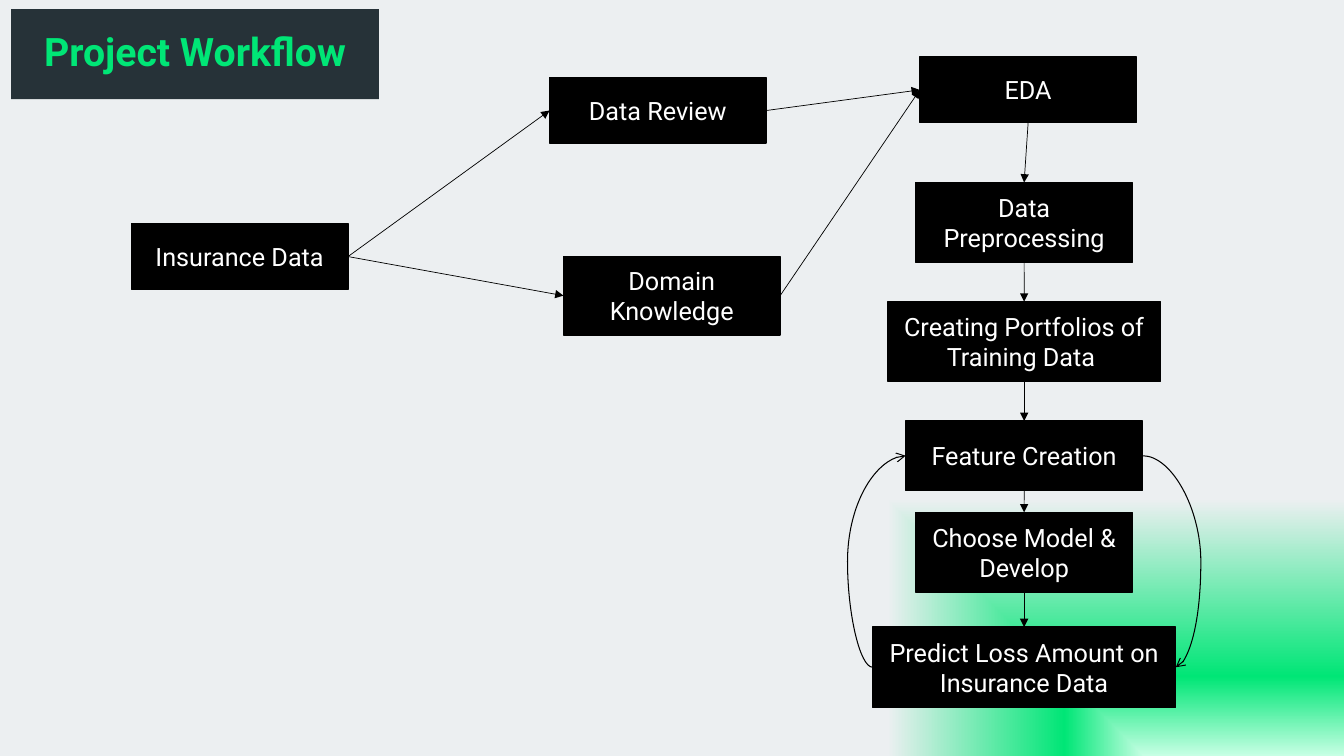
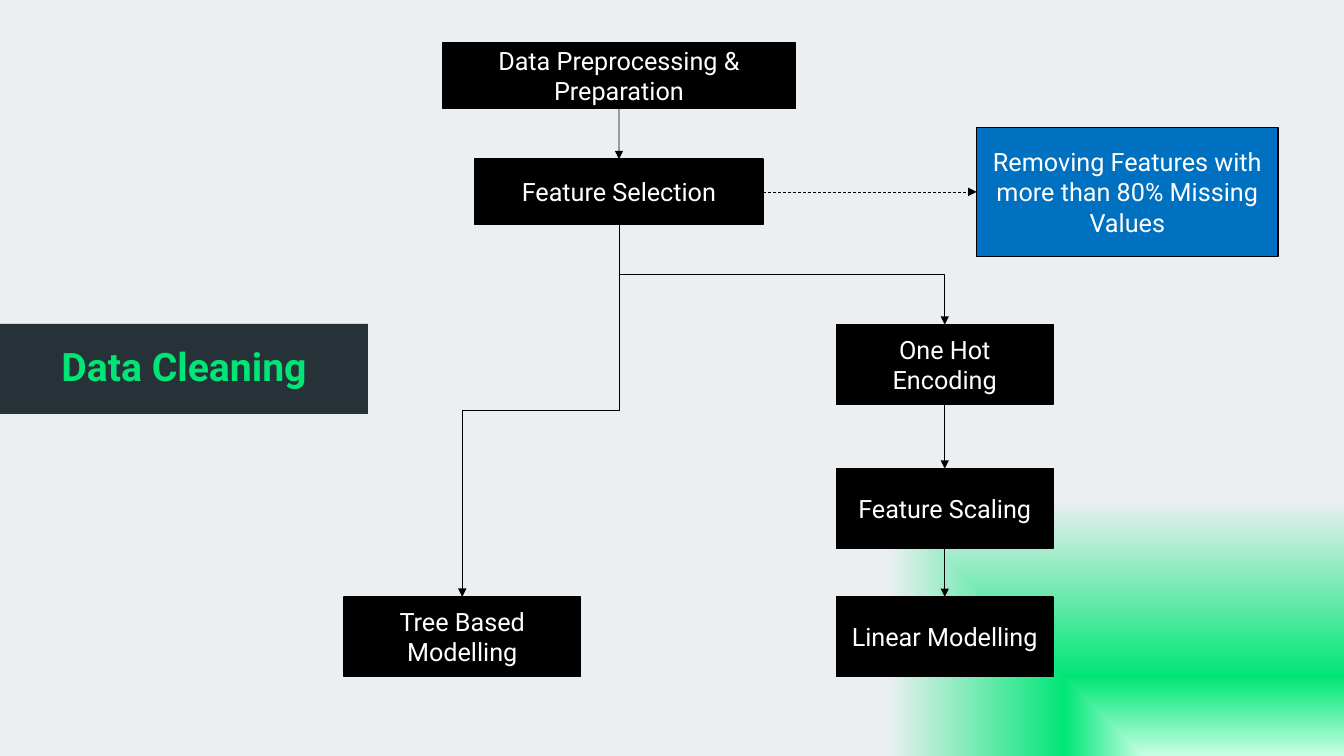
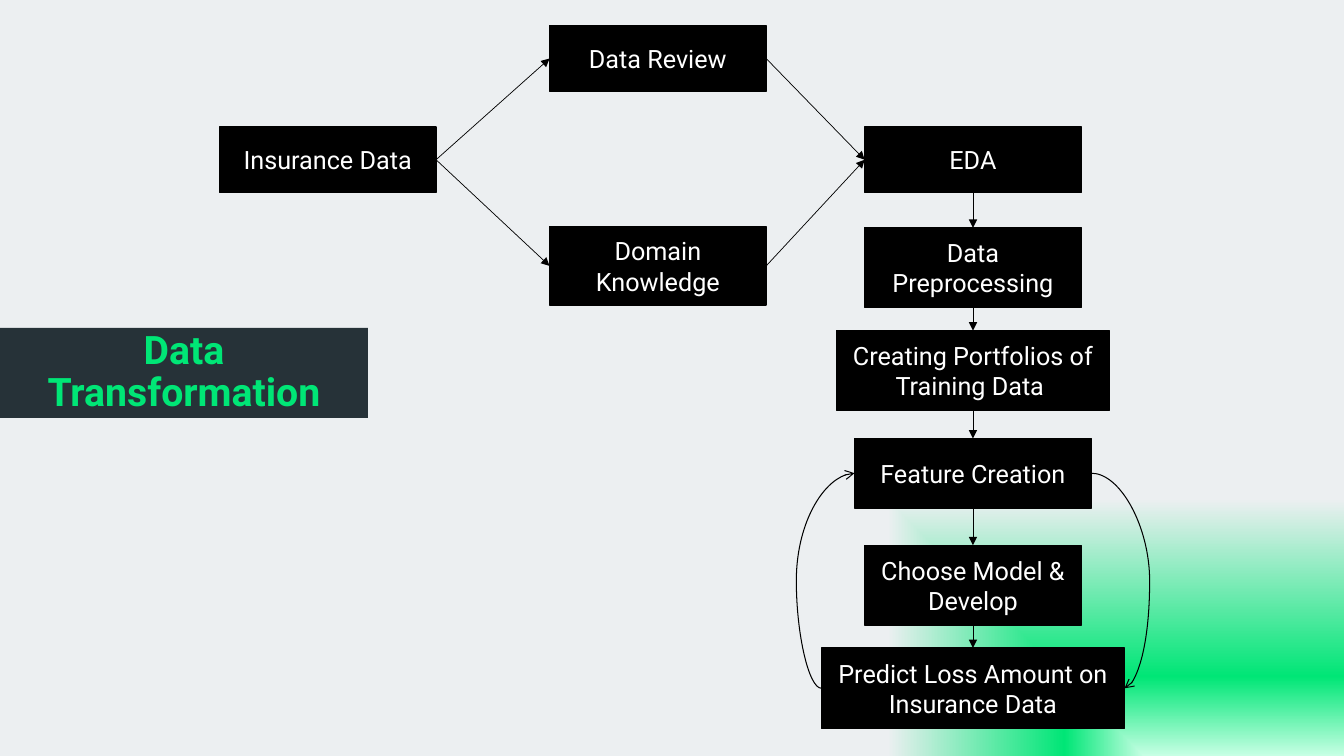
from lxml import etree
from pptx import Presentation
from pptx.dml.color import RGBColor
from pptx.enum.dml import MSO_LINE
from pptx.enum.shapes import MSO_CONNECTOR as LINK, MSO_SHAPE
from pptx.enum.text import MSO_ANCHOR, MSO_AUTO_SIZE, PP_ALIGN
from pptx.oxml import parse_xml
from pptx.oxml.ns import nsdecls, qn
from pptx.util import Cm, Pt

# Shared colours and formats
BLACK = RGBColor(0x00, 0x00, 0x00)
WHITE = RGBColor(0xFF, 0xFF, 0xFF)
BLUE = RGBColor(0x00, 0x70, 0xC0)
SLATE = RGBColor(0x26, 0x32, 0x38)
GREEN = RGBColor(0x00, 0xE6, 0x76)
PALE_GREEN = RGBColor(0xC7, 0xFF, 0xE4)
PALE_GREY = RGBColor(0xEC, 0xEF, 0xF1)

TITLE_FONT = {"name": "Roboto", "size": Pt(28), "bold": True}
STEP_FONT = {"name": "Roboto", "size": Pt(18), "bold": False}
TITLE_FRAME = {"vertical_anchor": MSO_ANCHOR.MIDDLE, "word_wrap": True,
               "auto_size": MSO_AUTO_SIZE.NONE}
TOP, LEFT, BOTTOM, RIGHT = range(4)

# Steps named more than once
PORTFOLIOS = "Creating Portfolios of Training Data "
FEATURE = "Feature Creation"
PREDICT = "Predict Loss Amount on Insurance Data"
SELECTION = "Feature Selection"
REMOVING = "Removing Features with more than 80% Missing Values"
PIPELINE = ["EDA", "Data Preprocessing", PORTFOLIOS, FEATURE,
            "Choose Model & Develop", PREDICT]
SOURCES = ["Data Review", "Domain Knowledge"]

# Box sizes in cm; every other box has the standard size
STANDARD = (5.46, 2.01)
SIZES = {
    "Insurance Data": (5.46, 1.65),
    "Data Review": (5.46, 1.65),
    "Domain Knowledge": (5.46, 1.98),
    "EDA": (5.46, 1.65),
    PORTFOLIOS: (6.87, 2.01),
    FEATURE: (5.97, 1.75),
    PREDICT: (7.64, 2.03),
    "Data Preprocessing & Preparation": (8.9, 1.65),
    SELECTION: (7.27, 1.65),
    REMOVING: (7.6, 3.25),
    "Tree Based Modelling": (5.95, 2.01),
}

# Links: from, side, to, side, kind
WORKFLOW_LINKS = (
    [("Insurance Data", RIGHT, source, LEFT, "straight") for source in SOURCES]
    + [(source, RIGHT, "EDA", LEFT, "straight") for source in SOURCES]
    + [(a, BOTTOM, b, TOP, "straight") for a, b in zip(PIPELINE, PIPELINE[1:])]
    + [(PREDICT, LEFT, FEATURE, LEFT, "curve"),
       (FEATURE, RIGHT, PREDICT, RIGHT, "curve")])

CLEANING_LINKS = [
    ("Data Preprocessing & Preparation", BOTTOM, SELECTION, TOP, "straight"),
    (SELECTION, RIGHT, REMOVING, LEFT, "dashed"),
    (SELECTION, BOTTOM, "Tree Based Modelling", TOP, "elbow"),
    (SELECTION, BOTTOM, "One Hot Encoding", TOP, "elbow"),
    ("One Hot Encoding", BOTTOM, "Feature Scaling", TOP, "straight"),
    ("Feature Scaling", BOTTOM, "Linear Modelling", TOP, "straight"),
]

# Slides: title, title place, boxes as (centre x, top) in cm, links
SLIDES = [
    ("Project Workflow", (0.28, 0.23),
     {"Insurance Data": (6.04, 5.64), "Data Review": (16.58, 1.96),
      "Domain Knowledge": (16.93, 6.46), "EDA": (25.91, 1.44),
      **dict(zip(PIPELINE[1:], [(25.81, top) for top in
                                (4.6, 7.6, 10.61, 12.91, 15.8)]))},
     WORKFLOW_LINKS),
    ("Data Cleaning", (0, 8.16),
     {"Data Preprocessing & Preparation": (15.6, 1.08),
      SELECTION: (15.6, 4.01), REMOVING: (28.41, 3.21),
      "One Hot Encoding": (23.81, 8.18), "Feature Scaling": (23.81, 11.81),
      "Linear Modelling": (23.81, 15.04),
      "Tree Based Modelling": (11.65, 15.04)},
     CLEANING_LINKS),
    ("Data Transformation", (0, 8.26),
     {"Insurance Data": (8.26, 3.2), "Data Review": (16.58, 0.65),
      "Domain Knowledge": (16.58, 5.71),
      **dict(zip(PIPELINE, [(24.52, top) for top in
                            (3.2, 5.74, 8.33, 11.05, 13.74, 16.33)]))},
     WORKFLOW_LINKS),
]


def write(shape, text, font_format, color):
    """Centred text in one paragraph."""
    paragraph = shape.text_frame.paragraphs[0]
    paragraph.alignment = PP_ALIGN.CENTER
    run = paragraph.add_run()
    run.text = text
    for key, value in font_format.items():
        setattr(run.font, key, value)
    run.font.color.rgb = color
    return paragraph


def join(shapes, start, start_side, end, end_side, kind):
    """Arrow between the sides of two boxes."""
    form = {"curve": LINK.CURVE, "elbow": LINK.ELBOW}.get(kind, LINK.STRAIGHT)
    arrow = shapes.add_connector(form, 0, 0, 0, 0)
    arrow.begin_connect(start, start_side)
    arrow.end_connect(end, end_side)
    arrow.line.color.rgb = BLACK
    arrow.line.width = Pt(0.75 if kind == "curve" else 0.5)
    if kind == "dashed":
        arrow.line.dash_style = MSO_LINE.DASH
    properties = arrow._element.spPr
    etree.SubElement(properties.find(qn("a:ln")), qn("a:tailEnd"),
                     type="arrow" if kind == "curve" else "triangle")
    etree.SubElement(properties, qn("a:effectLst"))

    if kind == "curve":
        # Bulge beyond the outer box
        bend = -75700 if start_side == LEFT else 175700
        guides = properties.find(qn("a:prstGeom")).get_or_add_avLst()
        etree.SubElement(guides, qn("a:gd"), name="adj1", fmla=f"val {bend}")
    elif kind == "elbow":
        # Turn the frame so that the arrow leaves downwards
        goes_right = arrow.end_x > arrow.begin_x
        left, top, width, height = arrow.left, arrow.top, arrow.width, arrow.height
        frame = properties.find(qn("a:xfrm"))
        frame.set("rot", "5400000")
        frame.set("flipH", "0")
        frame.set("flipV", "1" if goes_right else "0")
        arrow.left = left + (width - height) // 2
        arrow.top = top + (height - width) // 2
        arrow.width, arrow.height = height, width


prs = Presentation()
prs.slide_width, prs.slide_height = Cm(33.87), Cm(19.05)

# Background on the master
master = prs.slide_master
master.background.fill.gradient()
plain = master._element.find(".//" + qn("p:bgPr")).find(qn("a:gradFill"))
stops = "".join(
    f'<a:gs pos="{pos * 1000}"><a:srgbClr val="{color}"/></a:gs>'
    for pos, color in [(0, PALE_GREEN), (21, GREEN), (68, PALE_GREY)])
plain.getparent().replace(plain, parse_xml(
    f'<a:gradFill {nsdecls("a")}><a:gsLst>{stops}</a:gsLst>'
    '<a:path path="rect"><a:fillToRect l="100000" t="100000"/></a:path>'
    '<a:tileRect r="-100000" b="-100000"/></a:gradFill>'))

for heading, (title_left, title_top), places, links in SLIDES:
    slide = prs.slides.add_slide(prs.slide_layouts[5])

    # Title band
    title = slide.shapes.title
    title.left, title.top = Cm(title_left), Cm(title_top)
    title.width, title.height = Cm(9.27), Cm(2.27)
    title.fill.solid()
    title.fill.fore_color.rgb = SLATE
    for key, value in TITLE_FRAME.items():
        setattr(title.text_frame, key, value)
    write(title, heading, TITLE_FONT, GREEN).line_spacing = 0.9

    # Boxes
    boxes = {}
    for step, (centre, top) in places.items():
        width, height = SIZES.get(step, STANDARD)
        box = slide.shapes.add_shape(
            MSO_SHAPE.RECTANGLE, Cm(centre - width / 2), Cm(top),
            Cm(width), Cm(height))
        box.shadow.inherit = False
        box.fill.solid()
        box.fill.fore_color.rgb = BLUE if step == REMOVING else BLACK
        box.line.color.rgb = BLACK
        box.line.width = Pt(1)
        write(box, step, STEP_FONT, WHITE)
        boxes[step] = box

    # Arrows
    for start, start_side, end, end_side, kind in links:
        join(slide.shapes, boxes[start], start_side, boxes[end], end_side, kind)

prs.save("out.pptx")
